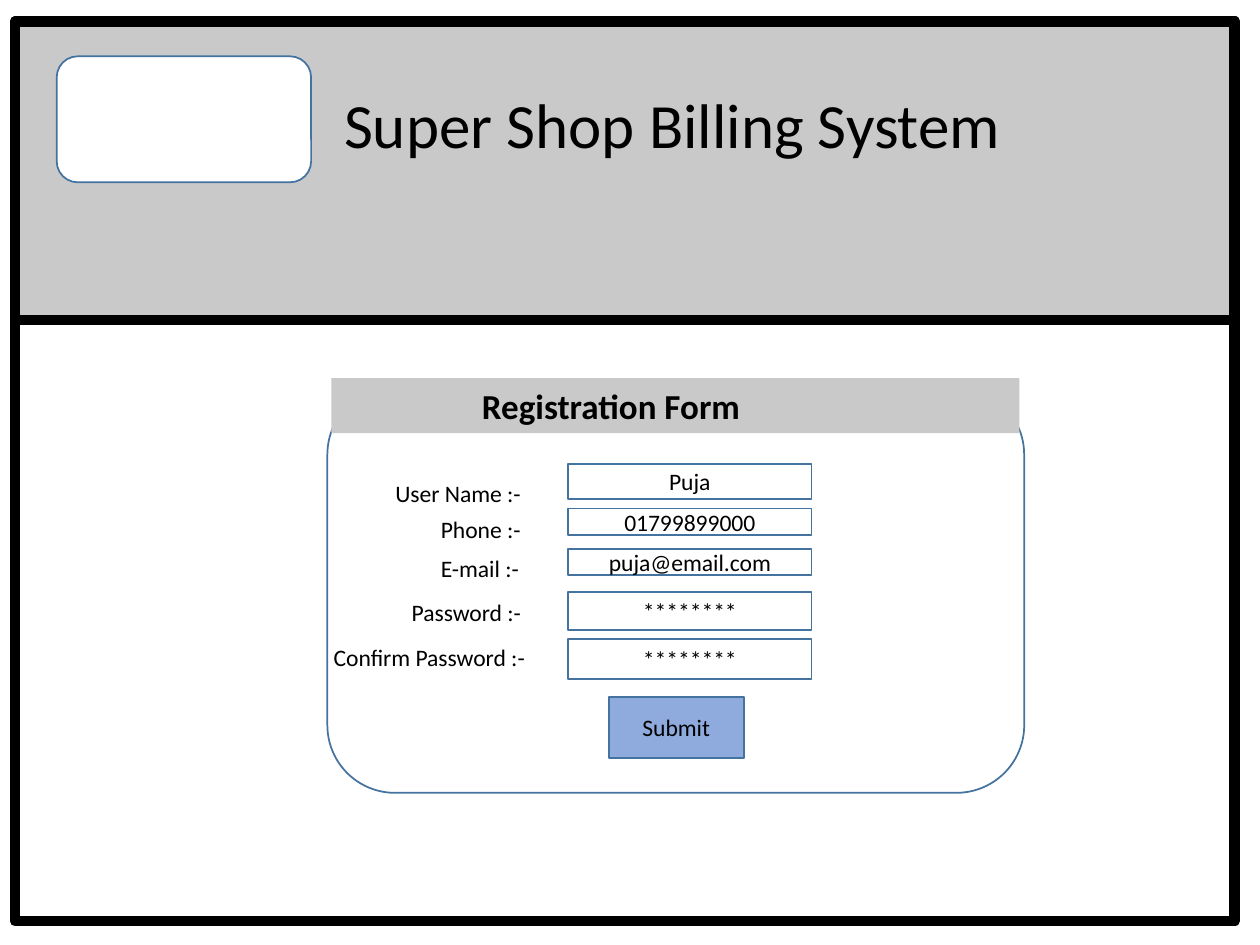
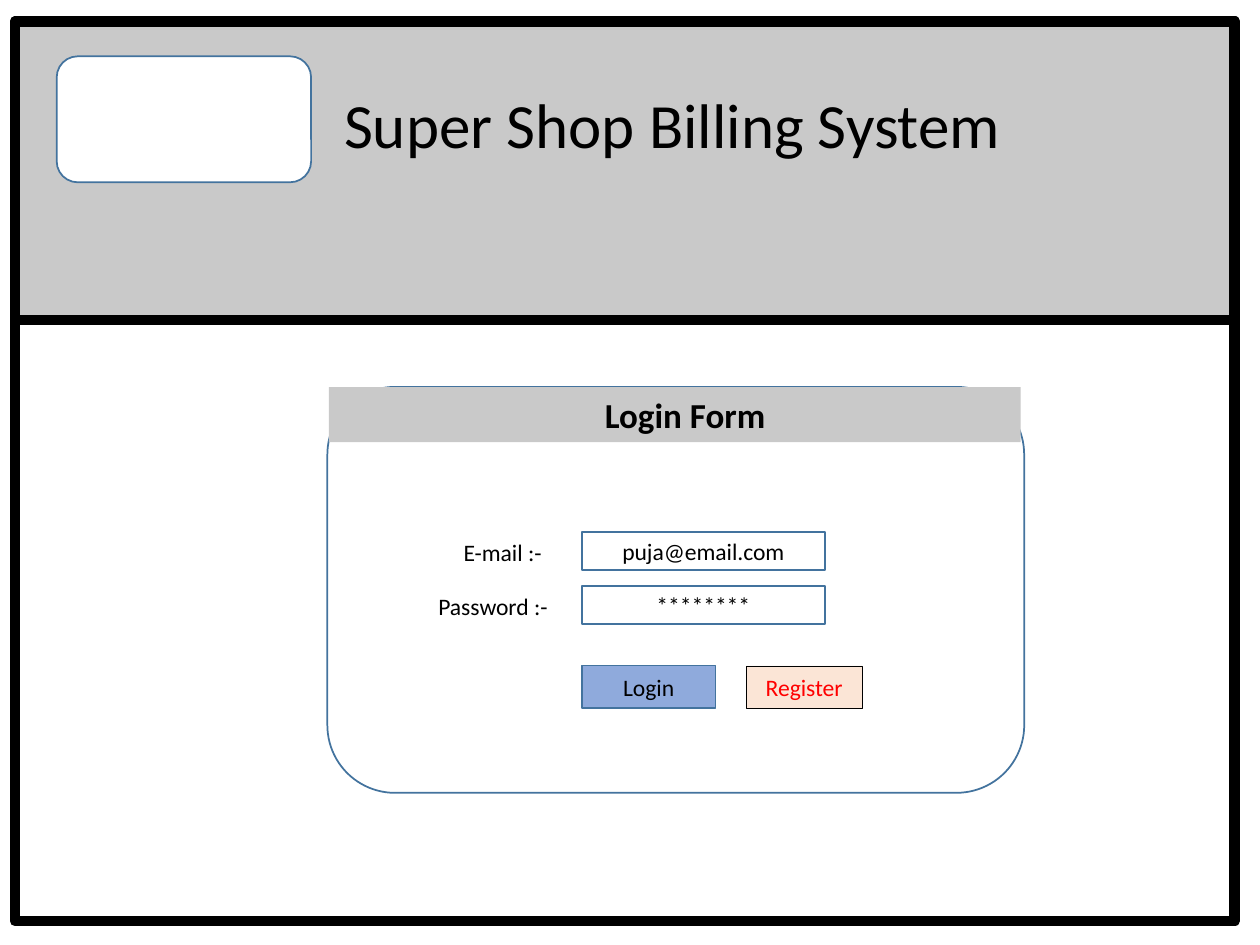
from pptx import Presentation
from pptx.dml.color import RGBColor
from pptx.enum import shapes, text
from pptx.util import Pt

BLACK, WHITE, GREY, BLUE = "000000", "FFFFFF", "C9C9C9", "43739E"
BUTTON, PEACH, RED = "8FAADC", "FBE5D6", "FF0000"
RECTANGLE = shapes.MSO_SHAPE.RECTANGLE
ROUNDED = shapes.MSO_SHAPE.ROUNDED_RECTANGLE
LEFT, CENTER = text.PP_ALIGN.LEFT, text.PP_ALIGN.CENTER
TOP, MIDDLE = text.MSO_ANCHOR.TOP, text.MSO_ANCHOR.MIDDLE
LABEL = {"size": 13.5, "align": LEFT, "anchor": TOP, "insets": (7.2, 3.6)}
ENTRY = {"size": 13.5, "align": CENTER, "anchor": MIDDLE, "insets": (5, 3)}


def write(shape, words, style, color=BLACK, bold=False):
    """Put one formatted line of words into a shape."""
    frame = shape.text_frame
    side, edge = style["insets"]
    layout = {"word_wrap": True, "auto_size": text.MSO_AUTO_SIZE.NONE,
              "vertical_anchor": style["anchor"],
              "margin_left": Pt(style.get("indent", side)), "margin_right": Pt(side),
              "margin_top": Pt(edge), "margin_bottom": Pt(edge)}
    for name, value in layout.items():
        setattr(frame, name, value)
    paragraph = frame.paragraphs[0]
    paragraph.alignment = style["align"]
    run = paragraph.add_run()
    run.text = words
    for name, value in {"name": "Calibri", "size": Pt(style["size"]), "bold": bold}.items():
        setattr(run.font, name, value)
    run.font.color.rgb = RGBColor.from_string(color)


def add_box(slide, box, fill, line=BLUE, width=1, kind=RECTANGLE):
    """Add a filled preset shape; a line of None leaves it without outline."""
    shape = slide.shapes.add_shape(kind, *map(Pt, box))
    shape.shadow.inherit = False
    shape.fill.solid()
    shape.fill.fore_color.rgb = RGBColor.from_string(fill)
    if line:
        shape.line.color.rgb = RGBColor.from_string(line)
        shape.line.width = Pt(width)
    else:
        shape.line.fill.background()
    return shape


# Labels: words, left, top, width. Entries: words, top, height.
# Buttons: words, box, fill, line, line width, text colour.
forms = [
    {"heading": "Registration Form", "heading_box": (189.4, 216, 393.1, 31.5), "indent": 86,
     "labels": [("User Name :-", 218.9, 270, 91.4),
                ("Phone :-", 244.8, 290.9, 65.5),
                ("E-mail :-", 244.8, 313.2, 65.5),
                ("Password :-", 228.2, 338.4, 88.6),
                ("Confirm Password :-", 183.6, 363.6, 126.7)],
     "entry_left": 324.7,
     "entries": [("Puja", 265, 20.2),
                 ("01799899000", 290.6, 15.1),
                 ("puja@email.com", 313.5, 15.1),
                 ("********", 338.4, 21.8),
                 ("********", 365, 23)],
     "buttons": [("Submit", (347.8, 398.2, 77.2, 34.8), BUTTON, BLUE, 1, BLACK)]},
    {"heading": "Login Form", "heading_box": (187.9, 221.2, 395.3, 31.5), "indent": 157.7,
     "labels": [("E-mail :-", 257.8, 303.8, 61.2),
                ("Password :-", 243.4, 334.8, 80.6)],
     "entry_left": 332.4,
     "entries": [("puja@email.com", 304, 21.8),
                 ("********", 334.8, 21.8)],
     "buttons": [("Login", (332.4, 380.3, 76.5, 24.5), BUTTON, BLUE, 1, BLACK),
                 ("Register", (426.4, 380.5, 66.4, 24.5), PEACH, BLACK, 0.25, RED)]},
]

presentation = Presentation()
presentation.slide_width, presentation.slide_height = Pt(720), Pt(540)

for form in forms:
    slide = presentation.slides.add_slide(presentation.slide_layouts[5])

    # Page frame, header band, title and empty logo field
    add_box(slide, (8.6, 12.4, 697, 514), WHITE, BLACK, 6)
    band = add_box(slide, (8.6, 12.4, 697, 170.6), GREY, BLACK, 6)
    title = slide.shapes.title
    title_box = {"left": 189.4, "top": 45.4, "width": 393.1, "height": 51.1}
    for name, value in title_box.items():
        setattr(title, name, Pt(value))
    write(title, "Super Shop Billing System", LABEL | {"size": 36})
    band.element.addnext(title.element)
    add_box(slide, (32.4, 32.2, 145.4, 72), WHITE, kind=ROUNDED)

    # Form panel and its heading
    add_box(slide, (187.1, 221.1, 398.2, 232), WHITE, kind=ROUNDED)
    heading = add_box(slide, form["heading_box"], GREY, None)
    heading_style = LABEL | {"size": 20, "indent": form["indent"]}
    write(heading, form["heading"], heading_style, bold=True)

    for words, left, top, width in form["labels"]:
        label = slide.shapes.add_textbox(Pt(left), Pt(top), Pt(width), Pt(23.8))
        write(label, words, LABEL)
    for words, top, height in form["entries"]:
        entry = add_box(slide, (form["entry_left"], top, 139, height), WHITE)
        write(entry, words, ENTRY)
    for words, box, fill, line, width, color in form["buttons"]:
        write(add_box(slide, box, fill, line, width), words, ENTRY, color)

presentation.save("out.pptx")
